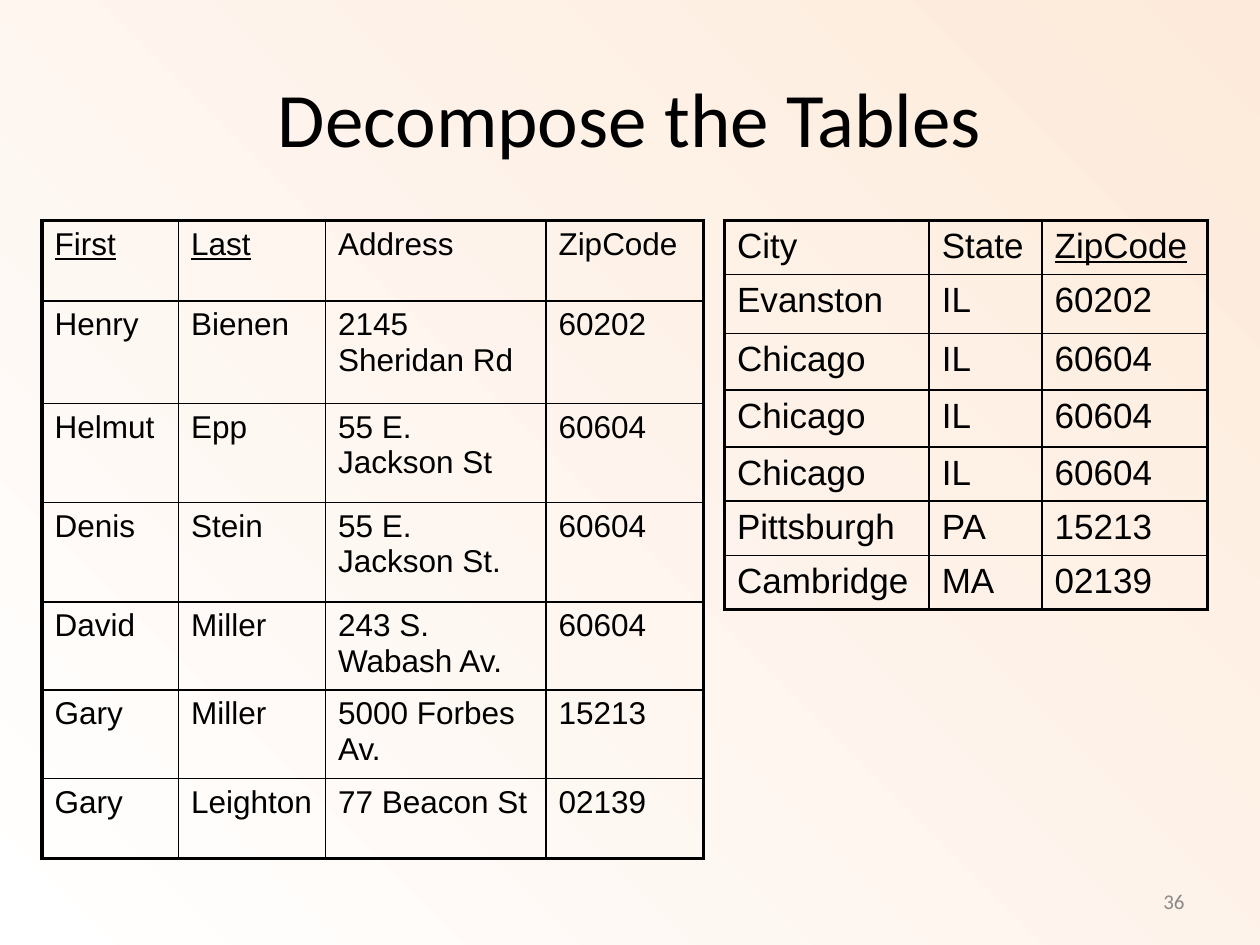
from lxml.etree import SubElement
from pptx import Presentation
from pptx.dml.color import RGBColor
from pptx.enum.text import MSO_ANCHOR, PP_ALIGN
from pptx.oxml.ns import qn
from pptx.util import Pt

COLORS = {"ink": "000000", "number": "898989", "white": "FFFFFF", "peach": "FDEADA"}
THIN, THICK = 1, 2.25


def write_text(frame, text, size, font="Calibri", color="ink", align=PP_ALIGN.LEFT,
               underline=False, anchor=MSO_ANCHOR.TOP, space_percent=0):
    frame.word_wrap = True
    frame.vertical_anchor = anchor
    para = frame.paragraphs[0]
    para.alignment = align
    if space_percent:
        spacing = SubElement(para._p.get_or_add_pPr(), qn("a:spcBef"))
        SubElement(spacing, qn("a:spcPct"), val=str(space_percent * 1000))
    span = para.add_run()
    span.text = text
    span.font.size = Pt(size)
    span.font.name = font
    span.font.underline = underline
    span.font.color.rgb = RGBColor.from_string(COLORS[color])


def draw_borders(cell, widths):
    """Draw cell edges from a dict of side letter (L, R, T, B) to width in points."""
    properties = cell._tc.get_or_add_tcPr()
    for side, width in widths.items():
        line = SubElement(properties, qn(f"a:ln{side}"), w=str(Pt(width)))
        fill = SubElement(line, qn("a:solidFill"))
        SubElement(fill, qn("a:srgbClr"), val=COLORS["ink"])


deck = Presentation()
deck.slide_width, deck.slide_height = Pt(720), Pt(540)
page = deck.slides.add_slide(deck.slide_layouts[5])

# Background: radial gradient centred on the bottom left corner
background = page.background.fill
background.gradient()
for stop, name in zip(background.gradient_stops, ("white", "peach")):
    stop.color.rgb = RGBColor.from_string(COLORS[name])
linear = page._element.find(".//" + qn("a:lin"))
gradient = linear.getparent()
gradient.remove(linear)
radial = SubElement(gradient, qn("a:path"), path="circle")
SubElement(radial, qn("a:fillToRect"), l="0", t="100000", r="100000", b="0")

title = page.shapes.title
title.left, title.top, title.width, title.height = Pt(36), Pt(21.6), Pt(648), Pt(90)
write_text(title.text_frame, "Decompose the Tables", 44, align=PP_ALIGN.CENTER,
           anchor=MSO_ANCHOR.MIDDLE)

tables = [
    {
        "left": 414, "size": 20, "keys": {"ZipCode"},
        "widths": [117, 64.5, 94.5],
        "heights": [31, 33.5, 32.5, 32.5, 31, 31, 31],
        "rows": [
            ("City", "State", "ZipCode"),
            ("Evanston", "IL", "60202"),
            ("Chicago", "IL", "60604"),
            ("Chicago", "IL", "60604"),
            ("Chicago", "IL", "60604"),
            ("Pittsburgh", "PA", "15213"),
            ("Cambridge", "MA", "02139"),
        ],
    },
    {
        "left": 24, "size": 18, "keys": {"First", "Last"},
        "widths": [78, 84, 126, 90],
        "heights": [46, 58.5, 56.75, 56.75, 50.4, 50.4, 46],
        "rows": [
            ("First", "Last", "Address", "ZipCode"),
            ("Henry", "Bienen", "2145 Sheridan Rd", "60202"),
            ("Helmut", "Epp", "55 E. Jackson St", "60604"),
            ("Denis", "Stein", "55 E. Jackson St.", "60604"),
            ("David", "Miller", "243 S. Wabash Av.", "60604"),
            ("Gary", "Miller", "5000 Forbes Av.", "15213"),
            ("Gary", "Leighton", "77 Beacon St", "02139"),
        ],
    },
]

for data in tables:
    rows, widths, heights = data["rows"], data["widths"], data["heights"]
    table = page.shapes.add_table(len(rows), len(widths), Pt(data["left"]), Pt(126),
                                  Pt(sum(widths)), Pt(sum(heights))).table
    table.first_row = table.horz_banding = False
    for column, width in zip(table.columns, widths):
        column.width = Pt(width)
    for row, height in zip(table.rows, heights):
        row.height = Pt(height)

    last_row, last_column = len(rows) - 1, len(widths) - 1
    for r, values in enumerate(rows):
        for c, value in enumerate(values):
            cell = table.cell(r, c)
            write_text(cell.text_frame, value, data["size"], font="Arial",
                       underline=r == 0 and value in data["keys"], space_percent=20)
            draw_borders(cell, {
                "L": THICK if c == 0 else THIN,
                "R": THICK if c == last_column else THIN,
                "T": THICK if r == 0 else THIN,
                "B": THICK if r == last_row else THIN,
            })
            cell.fill.background()

number_box = page.shapes.add_textbox(Pt(516), Pt(500.5), Pt(168), Pt(28.75))
write_text(number_box.text_frame, "36", 12, color="number", align=PP_ALIGN.RIGHT,
           anchor=MSO_ANCHOR.MIDDLE)

deck.save("out.pptx")
